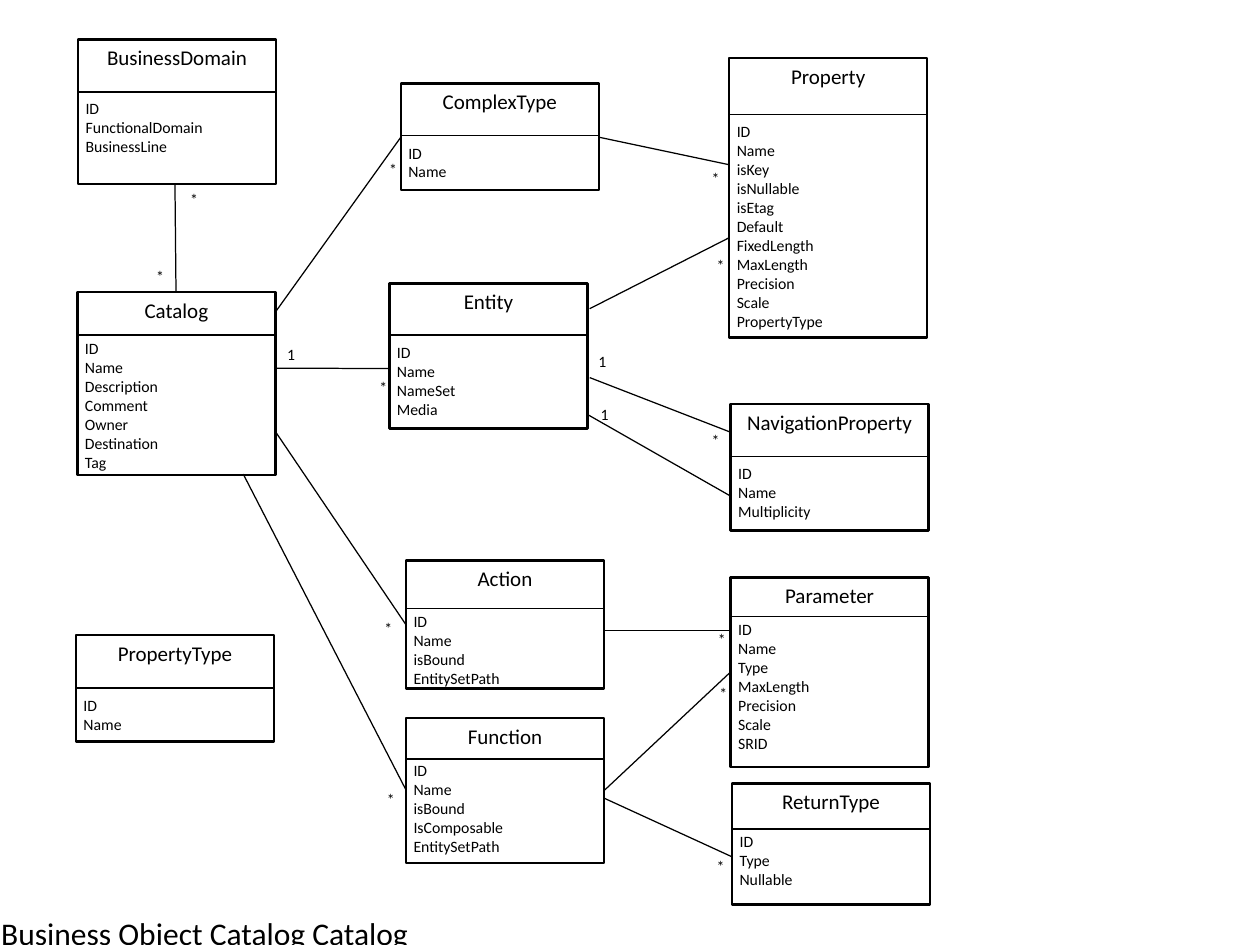
from dataclasses import dataclass

from lxml import etree
from pptx import Presentation
from pptx.dml.color import RGBColor
from pptx.enum import shapes, text
from pptx.oxml import ns
from pptx.util import Pt

BLACK = RGBColor(0, 0, 0)
WHITE = RGBColor(255, 255, 255)
FONT = "Calibri"
CLASS_WIDTH = 113.2
BORDER, DIVIDER, ASSOCIATION = 1.4, 1, 0.7


@dataclass
class ClassBox:
    name: str
    left: float
    top: float
    height: float
    divider: float
    attributes_top: float
    attributes_height: float
    attributes: str


@dataclass
class Association:
    x1: float
    y1: float
    x2: float
    y2: float


@dataclass
class Multiplicity:
    mark: str
    left: float
    top: float
    width: float = 15.8


CLASSES = [
    ClassBox("Catalog", 44.2, 167, 104.4, 191.5, 192.2, 78.5,
             "ID Name Description Comment Owner Destination Tag"),
    ClassBox("Entity", 222.5, 162, 82.8, 191.5, 194.6, 56.2, "ID Name NameSet Media"),
    ClassBox("Property", 416.7, 33.2, 159.8, 65.4, 68.4, 124.6,
             "ID Name isKey isNullable isEtag Default FixedLength MaxLength "
             "Precision Scale PropertyType"),
    ClassBox("PropertyType", 43.4, 363, 60.8, 393, 396, 28, "ID Name"),
    ClassBox("NavigationProperty", 417.5, 231, 72.2, 260.8, 263.8, 39.6,
             "ID Name Multiplicity"),
    ClassBox("BusinessDomain", 44.6, 22.5, 82.6, 52.4, 55, 56.2,
             "ID FunctionalDomain BusinessLine"),
    ClassBox("ComplexType", 229, 47.7, 60.8, 77.5, 80.5, 28, "ID Name"),
    ClassBox("Action", 232, 320.3, 73.3, 347.8, 348, 50.4,
             "ID Name isBound EntitySetPath"),
    ClassBox("Parameter", 417.5, 330, 108.2, 352.3, 352.8, 85.7,
             "ID Name Type MaxLength Precision Scale SRID"),
    ClassBox("Function", 232, 410.4, 82.8, 433.6, 433.6, 56.9,
             "ID Name isBound IsComposable EntitySetPath"),
    ClassBox("ReturnType", 418.3, 447.7, 69.2, 473.8, 473.8, 32.4, "ID Type Nullable"),
]

ASSOCIATIONS = [
    Association(337, 176.4, 416.4, 136),
    Association(337, 215.8, 417, 246.8),
    Association(157.2, 178.6, 229, 78.5),
    Association(100.6, 167, 100, 105),
    Association(342.7, 78.5, 417, 94.2),
    Association(157.5, 210.4, 222.5, 210.6),
    Association(157.5, 246.8, 232, 357),
    Association(139, 270.9, 232, 451.4),
    Association(345.6, 360.2, 416.4, 360.2),
    Association(345.6, 451.4, 417.5, 384),
    Association(345, 456, 418.3, 489.6),
    Association(335.8, 236.9, 417.5, 283.5),
]

MULTIPLICITIES = [
    Multiplicity("*", 402.5, 142.6),
    Multiplicity("*", 399.6, 242.6),
    Multiplicity("1", 336.2, 227.9),
    Multiplicity("*", 215.3, 87.8),
    Multiplicity("*", 207.4, 212.4, 20.9),
    Multiplicity("*", 100, 105, 20.2),
    Multiplicity("*", 80.6, 148.6, 20.2),
    Multiplicity("*", 399.6, 92.9),
    Multiplicity("*", 211, 350, 20.2),
    Multiplicity("*", 212.4, 448, 20.2),
    Multiplicity("1", 157, 193.7),
    Multiplicity("*", 403.2, 356.4),
    Multiplicity("*", 404, 387.4),
    Multiplicity("*", 402.5, 486),
    Multiplicity("1", 334.8, 197.3),
]


def write_text(shape, content: str, *, size: float, align=text.PP_ALIGN.LEFT,
               insets=(7.2, 3.6, 7.2, 3.6), wrap: bool = True) -> None:
    frame = shape.text_frame
    frame.text = content
    frame.auto_size = text.MSO_AUTO_SIZE.NONE
    frame.word_wrap = wrap
    frame.vertical_anchor = text.MSO_ANCHOR.TOP
    frame.margin_left, frame.margin_top, frame.margin_right, frame.margin_bottom = map(Pt, insets)
    for paragraph in frame.paragraphs:
        paragraph.alignment = align
        font = paragraph.runs[0].font
        font.name, font.size = FONT, Pt(size)
        font.color.rgb = BLACK


def draw_line(container, x1: float, y1: float, x2: float, y2: float, width: float) -> None:
    connector = container.add_connector(
        shapes.MSO_CONNECTOR.STRAIGHT, Pt(x1), Pt(y1), Pt(x2), Pt(y2))
    connector.line.color.rgb = BLACK
    connector.line.width = Pt(width)
    etree.SubElement(connector._element.spPr, ns.qn("a:effectLst"))


def draw_class(slide, item: ClassBox) -> None:
    group = slide.shapes.add_group_shape().shapes
    box = group.add_shape(shapes.MSO_SHAPE.RECTANGLE, Pt(item.left), Pt(item.top),
                          Pt(CLASS_WIDTH), Pt(item.height))
    box.shadow.inherit = False
    box.fill.solid()
    box.fill.fore_color.rgb = WHITE
    box.line.color.rgb = BLACK
    box.line.width = Pt(BORDER)
    write_text(box, item.name, size=12, align=text.PP_ALIGN.CENTER, insets=(2.9,) * 4)
    draw_line(group, item.left, item.divider, item.left + CLASS_WIDTH, item.divider, DIVIDER)
    attributes = group.add_textbox(Pt(item.left), Pt(item.attributes_top),
                                   Pt(CLASS_WIDTH), Pt(item.attributes_height))
    write_text(attributes, item.attributes.replace(" ", "\n"), size=9,
               insets=(4.3, 1.4, 2.9, 1.4))


def draw_multiplicity(slide, item: Multiplicity) -> None:
    label = slide.shapes.add_textbox(Pt(item.left), Pt(item.top), Pt(item.width), Pt(18))
    write_text(label, item.mark, size=9, align=text.PP_ALIGN.RIGHT)


def main() -> None:
    presentation = Presentation()
    presentation.slide_width, presentation.slide_height = Pt(720), Pt(540)
    slide = presentation.slides.add_slide(presentation.slide_layouts[5])
    title = slide.shapes.title
    title.left, title.top, title.width, title.height = Pt(-6.5), Pt(518.4), Pt(250), Pt(29)
    write_text(title, "Business Object Catalog Catalog", size=18, wrap=False)
    for item in CLASSES:
        draw_class(slide, item)
    for line in ASSOCIATIONS:
        draw_line(slide.shapes, line.x1, line.y1, line.x2, line.y2, ASSOCIATION)
    for label in MULTIPLICITIES:
        draw_multiplicity(slide, label)
    presentation.save("out.pptx")


main()
